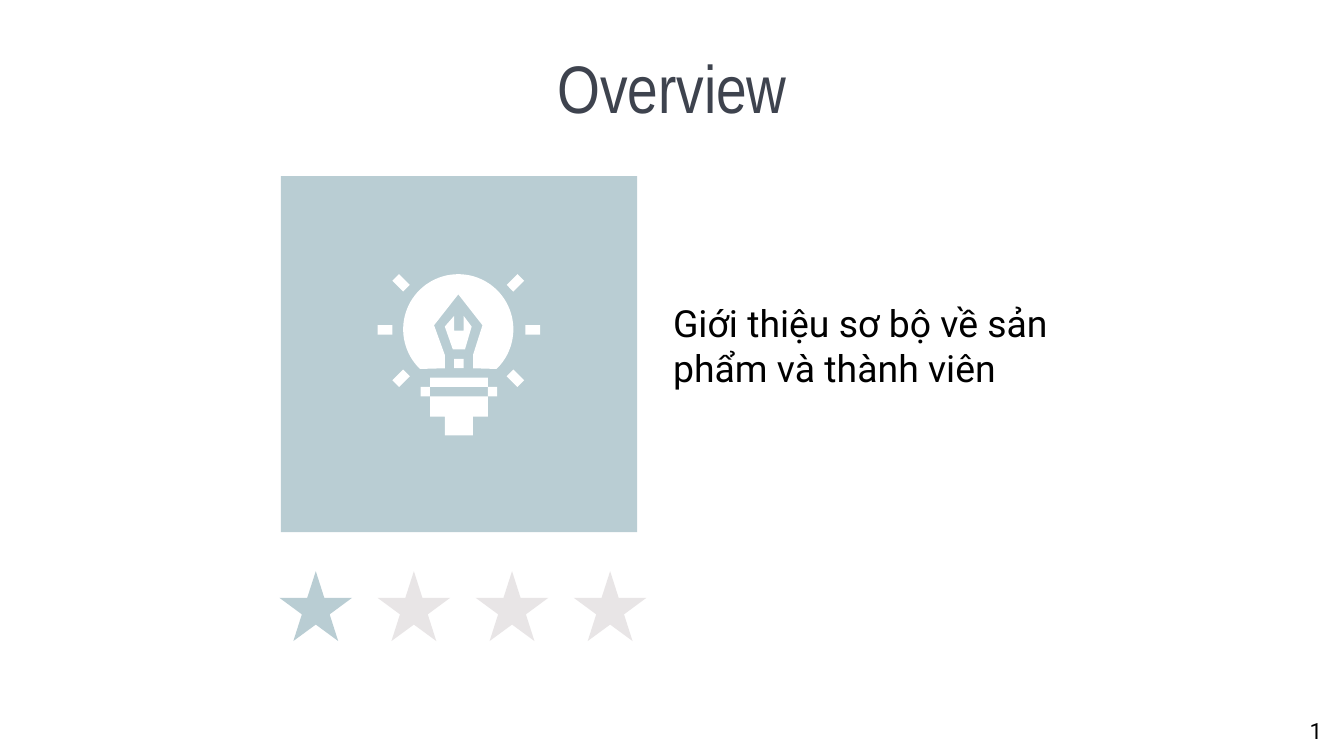
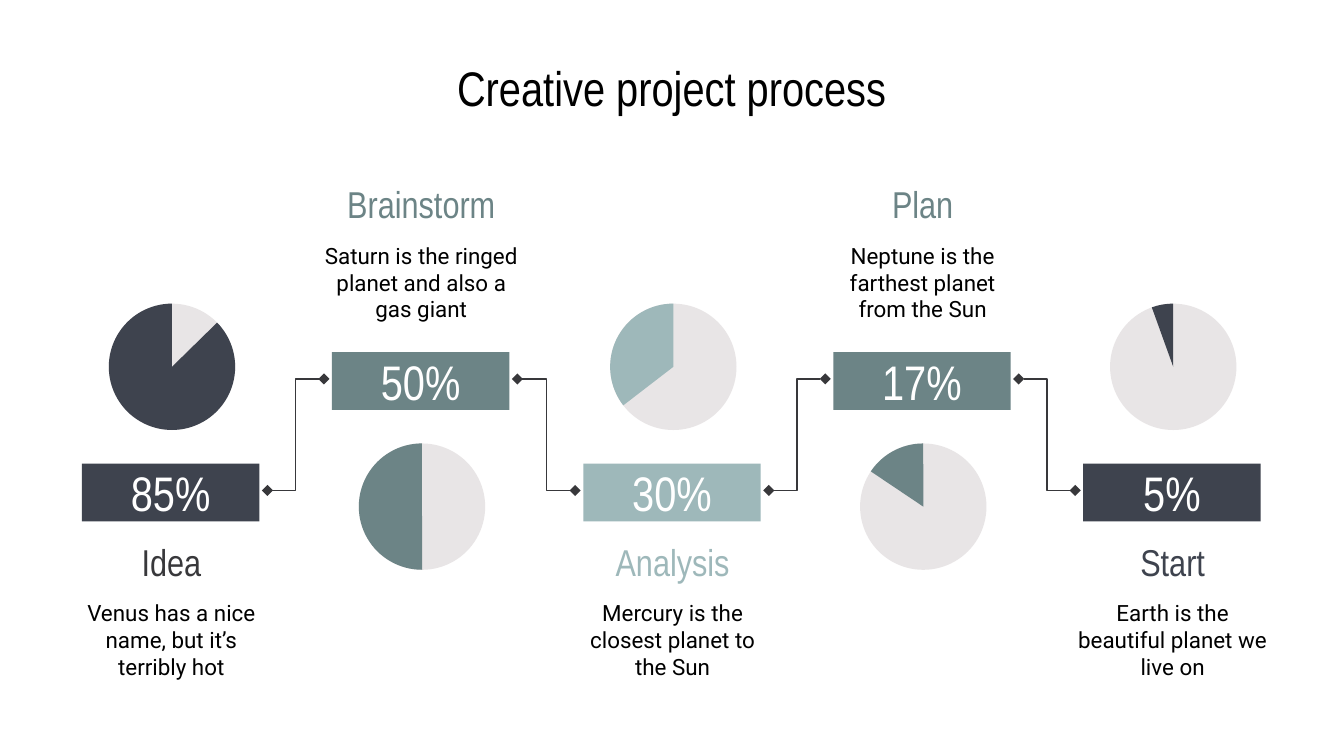
from dataclasses import dataclass
from itertools import product
from math import cos, radians, sin

from lxml.etree import SubElement
from pptx import Presentation
from pptx.dml.color import RGBColor
from pptx.enum.shapes import MSO_CONNECTOR, MSO_SHAPE
from pptx.enum.text import MSO_ANCHOR, MSO_AUTO_SIZE, PP_ALIGN
from pptx.oxml.ns import qn
from pptx.util import Emu, Pt


@dataclass(frozen=True)
class Theme:
    ink: str = "000000"
    paper: str = "FFFFFF"
    navy: str = "3E434E"
    teal: str = "6C8486"
    mist: str = "9EB8BA"
    sky: str = "B9CDD3"
    pale: str = "E8E5E6"
    wire: str = "38383B"
    head: str = "Arial Narrow"
    body: str = "Roboto"
    huge: int = 36
    large: int = 26
    mid: int = 20
    small: int = 12


THEME = Theme()
STAGES = [
    ("Idea", "Venus has a nice name, but it’s terribly hot", "85%", 315.6, THEME.navy, THEME.wire),
    ("Brainstorm", "Saturn is the ringed planet and also a gas giant", "50%", 89.9, THEME.teal, THEME.teal),
    ("Analysis", "Mercury is the closest planet to the Sun", "30%", 142.38, THEME.mist, THEME.mist),
    ("Plan", "Neptune is the farthest planet from the Sun", "17%", 213.89, THEME.teal, THEME.teal),
    ("Start", "Earth is the beautiful planet we live on", "5%", 250.2, THEME.navy, THEME.navy),
]
LOW = {"pie": 226, "bar": 345, "name": 399, "note": 438}
HIGH = {"pie": 330, "bar": 262, "name": 133, "note": 172}


def px(count):
    return Emu(round(count * 9144))


def write(frame, text, size=THEME.small, font=THEME.body, color=THEME.ink, align=PP_ALIGN.CENTER):
    frame.word_wrap = True
    frame.auto_size = MSO_AUTO_SIZE.NONE
    frame.vertical_anchor = MSO_ANCHOR.MIDDLE
    frame.margin_left = frame.margin_right = px(10)
    frame.margin_top = frame.margin_bottom = px(10)
    frame.text = text
    para = frame.paragraphs[0]
    para.alignment = align
    para.font.size = Pt(size)
    para.font.name = font
    para.font.color.rgb = RGBColor.from_string(color)


def label(slide, box, text, **style):
    shape = slide.shapes.add_textbox(*map(px, box))
    write(shape.text_frame, text, **style)


def paint(shape, color):
    shape.shadow.inherit = False
    shape.fill.solid()
    shape.fill.fore_color.rgb = RGBColor.from_string(color)
    shape.line.fill.background()
    return shape


def block(slide, kind, box, color):
    return paint(slide.shapes.add_shape(kind, *map(px, box)), color)


def outline(slide, points, color):
    first, *rest = [(px(x), px(y)) for x, y in points]
    pen = slide.shapes.build_freeform(*first)
    pen.add_line_segments(rest, close=True)
    paint(pen.convert_to_shape(), color)


def page(deck, title, size, color):
    slide = deck.slides.add_slide(deck.slide_layouts[5])
    shape = slide.shapes.title
    shape.left, shape.top, shape.width, shape.height = map(px, (45, 33, 910, 63))
    write(shape.text_frame, title, size=size, font=THEME.head, color=color)
    return slide


def bulb(slide):
    mid, row = 341, 246
    arc = [
        (mid + 41 * cos(radians(turn)), 245 + 41 * sin(radians(turn)))
        for turn in range(134, 407, 4)
    ]
    neck = [(352, 274), (352, 264), (359, 242), (341, 219), (323, 242), (331, 264), (331, 274)]
    nib = [(338, 235), (331, 243), (337, 260), (346, 260), (351, 243), (345, 235), (345, 246), (338, 246)]
    base = [(320, 295), (320, 310), (331, 310), (331, 324), (352, 324), (352, 310), (363, 310), (363, 295)]
    for points in (arc + neck, nib, base):
        outline(slide, points, THEME.paper)
    ray = [(44, -42), (36, -34), (41, -29), (49, -37)]
    for flip, turn in product((1, -1), repeat=2):
        outline(slide, [(mid + x * flip, row + y * turn) for x, y in ray], THEME.paper)
    for box in (
        (363, 288, 7, 7), (313, 288, 7, 7), (320, 281, 43, 7),
        (338, 267, 7, 7), (391, 242, 11, 7), (281, 242, 11, 7),
    ):
        block(slide, MSO_SHAPE.RECTANGLE, box, THEME.paper)


def elbow(slide, start, end):
    link = slide.shapes.add_connector(MSO_CONNECTOR.ELBOW, *map(px, start + end))
    link.line.color.rgb = RGBColor.from_string(THEME.wire)
    link.line.width = Pt(0.75)
    line = link.line._get_or_add_ln()
    for tag in ("a:headEnd", "a:tailEnd"):
        SubElement(line, qn(tag), type="diamond")
    SubElement(link._element.spPr, qn("a:effectLst"))


def stage(slide, left, rows, name, note, share, angle, color, tint):
    label(slide, (left, rows["name"], 165, 37), name, size=THEME.mid, font=THEME.head, color=tint)
    label(slide, (left, rows["note"], 165, 76), note)
    disc = (left + 36, rows["pie"], 94, 94)
    block(slide, MSO_SHAPE.OVAL, disc, THEME.pale)
    slice = block(slide, MSO_SHAPE.PIE, disc, color)
    slice.adjustments[0] = angle * 0.6
    slice.adjustments[1] = 270 * 0.6
    bar = block(slide, MSO_SHAPE.RECTANGLE, (left + 16, rows["bar"], 132, 43), color)
    write(bar.text_frame, share, size=THEME.large, font=THEME.head, color=THEME.paper)


def intro(deck):
    slide = page(deck, "Overview", THEME.huge, THEME.navy)
    label(
        slide, (491, 128, 326, 258), "Giới thiệu sơ bộ về sản phẩm và thành viên",
        size=THEME.mid, align=PP_ALIGN.LEFT,
    )
    for step in range(4):
        color = THEME.pale if step else THEME.sky
        block(slide, MSO_SHAPE.STAR_5_POINT, (208 + 73 * step, 425, 54, 52), color)
    block(slide, MSO_SHAPE.RECTANGLE, (209, 131, 265, 265), THEME.sky)
    bulb(slide)
    label(slide, (958, 525, 42, 37), "1")


def process(deck):
    slide = page(deck, "Creative project process", THEME.large, THEME.ink)
    spots = [
        (45 + round(186.3 * step), HIGH if step % 2 else LOW)
        for step in range(len(STAGES))
    ]
    for (left, rows), (after, next_rows) in zip(spots, spots[1:]):
        elbow(slide, (left + 154, rows["bar"] + 20), (after + 10, next_rows["bar"] + 20))
    for (left, rows), facts in zip(spots, STAGES):
        stage(slide, left, rows, *facts)


def main():
    deck = Presentation()
    deck.slide_width = px(1000)
    deck.slide_height = px(562.5)
    intro(deck)
    process(deck)
    deck.save("out.pptx")


if __name__ == "__main__":
    main()
